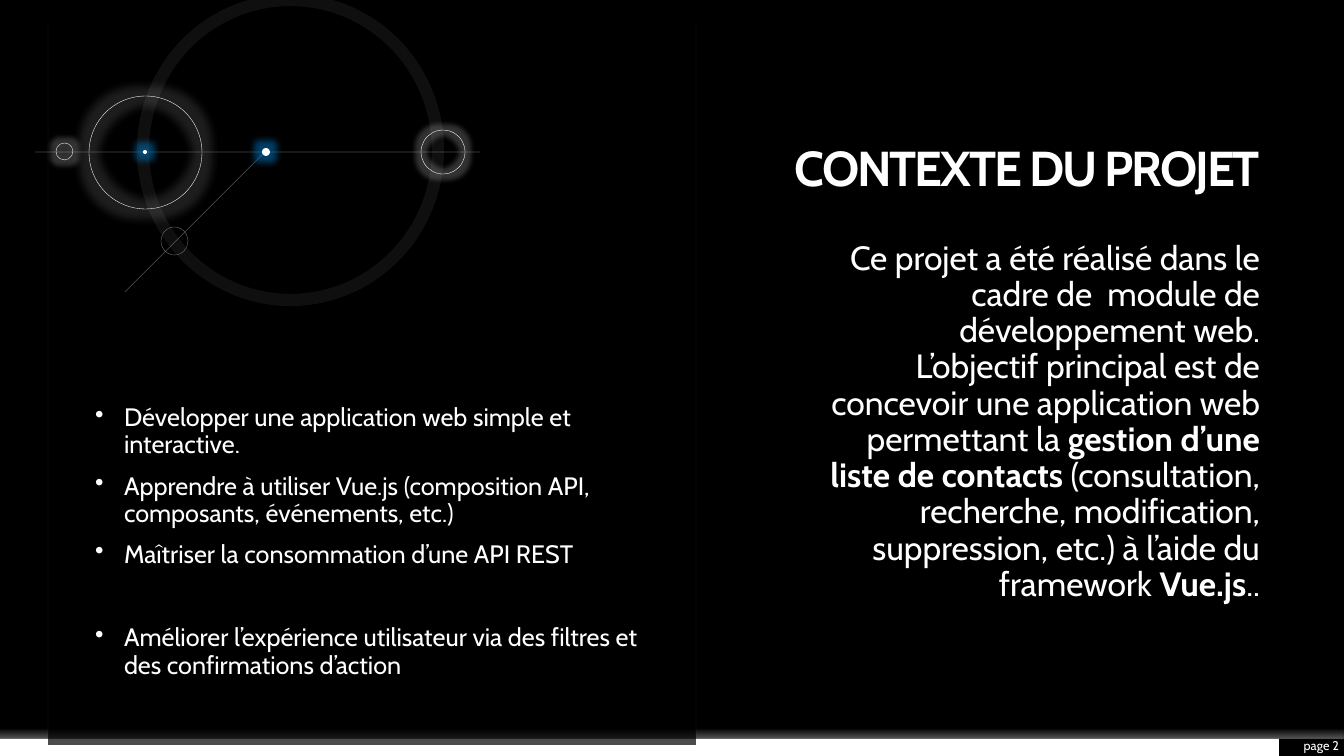
"""Build the project context slide: goals on the left, context on the right."""
from lxml import etree
from pptx import Presentation
from pptx import util as u
from pptx.dml.color import RGBColor
from pptx.enum import dml, shapes, text
from pptx.oxml.ns import qn

PX = 12192000 / 1344
WHITE = "FFFFFF"


def paint(color, value, opacity=100):
    color.rgb = RGBColor.from_string(value)
    if opacity < 100:
        etree.SubElement(color._xFill[0], qn("a:alpha"), val=str(opacity * 1000))


def write(frame, paragraphs, size, align="LEFT", anchor="TOP", before=(0,),
          spacing=1.0, bold=False, tracking=0, bullet=None):
    frame.word_wrap = True
    frame.auto_size = text.MSO_AUTO_SIZE.NONE
    frame.vertical_anchor = text.MSO_ANCHOR[anchor]
    frame.margin_left = frame.margin_right = frame.margin_top = frame.margin_bottom = 0
    for i, parts in enumerate(paragraphs):
        para = frame.add_paragraph() if i else frame.paragraphs[0]
        para.alignment = text.PP_ALIGN[align]
        para.line_spacing = spacing
        para.space_before = u.Pt(before[i % len(before)])
        if bullet:
            props = para._p.get_or_add_pPr()
            props.set("marL", str(int(29 * PX)))
            props.set("indent", str(int(-29 * PX)))
            etree.SubElement(props, qn("a:buChar"), char=bullet)
        for words, strong in parts:
            for n, line in enumerate(words.split("\n")):
                if n:
                    para.add_line_break()
                run = para.add_run()
                run.text = line
                run.font.name = "Cabin"
                run.font.size = u.Pt(size)
                run.font.bold = bold or strong
                paint(run.font.color, WHITE)
                if tracking:
                    run._r.get_or_add_rPr().set("spc", str(tracking))


prs = Presentation()
prs.slide_width, prs.slide_height = int(1344 * PX), int(756 * PX)
slide = prs.slides.add_slide(prs.slide_layouts[5])
slide.background.fill.solid()
paint(slide.background.fill.fore_color, "000000")

panels = []
for box in [(0, 739, 1279, 17), (0, 722, 1344, 17), (48, 429, 648, 316)]:
    panel = slide.shapes.add_shape(shapes.MSO_SHAPE.RECTANGLE, *(int(v * PX) for v in box))
    panel.shadow.inherit = False
    panel.line.fill.background()
    panels.append(panel)
footer_bar, footer_fade, goals_panel = panels
footer_bar.fill.solid()
paint(footer_bar.fill.fore_color, WHITE)
footer_fade.fill.gradient()
footer_fade.fill.gradient_angle = 270
for stop, position, opacity in zip(footer_fade.fill.gradient_stops, (0.4, 1), (0, 35)):
    stop.position = position
    paint(stop.color, WHITE, opacity)
goals_panel.fill.solid()
paint(goals_panel.fill.fore_color, "000000", 70)

title = slide.shapes.title
title.left, title.top, title.width, title.height = (int(v * PX) for v in (700, 117, 560, 80))
write(title.text_frame, [[("CONTEXTE DU PROJET", False)]], 35, align="RIGHT",
      anchor="BOTTOM", spacing=0.9, bold=True, tracking=-150)

goals = [
    "Développer une application web simple et interactive.",
    "Apprendre à utiliser Vue.js (composition API, composants, événements, etc.)",
    "Maîtriser la consommation d’une API REST",
    "Améliorer l’expérience utilisateur via des filtres et des confirmations d’action",
]
context = [
    ("Ce projet a été réalisé dans le cadre de  module de développement web.\n"
     "L’objectif principal est de concevoir une application web permettant la ", False),
    ("gestion d’une liste de contacts", True),
    (" (consultation, recherche, modification, suppression, etc.) à l’aide du framework ", False),
    ("Vue.js", True),
    ("..", False),
]
for box, paragraphs, style in [
    ((1279, 737, 60, 17), [[("page 2", False)]],
     dict(size=9, align="RIGHT", anchor="MIDDLE")),
    ((95, 405, 553, 300), [[(goal, False)] for goal in goals],
     dict(size=18, before=(10, 10, 10, 40), spacing=0.9, bullet="•")),
    ((805, 241, 455, 199), [context],
     dict(size=24, align="RIGHT", before=(10,), spacing=0.9)),
]:
    area = slide.shapes.add_textbox(*(int(v * PX) for v in box))
    write(area.text_frame, paragraphs, **style)

for ends, color, width, opacity in [
    ((696, 23, 696, 739), "F2F2F2", 0.25, 15),
    ((48, 23, 48, 739), "F2F2F2", 0.25, 15),
    ((35, 152, 480, 152), "E7E6E6", 0.5, 30),
    ((125, 292, 265, 152), "E7E6E6", 0.5, 30),
]:
    rule = slide.shapes.add_connector(shapes.MSO_CONNECTOR.STRAIGHT, *(int(v * PX) for v in ends))
    rule.line.width = u.Pt(width)
    rule.line.fill.solid()
    paint(rule.line.color, color, opacity)
    etree.SubElement(rule._element.spPr, qn("a:effectLst"))

rings = [
    ((143, 0, 295, 300), WHITE, 8.75, 6, None),
    ((89, 96, 113, 113), WHITE, 0.25, 100, (18, WHITE, 12)),
    ((421, 130, 44, 44), WHITE, 0.25, 100, (10, WHITE, 20)),
    ((56, 143, 17, 17), WHITE, 0.25, 100, (10, WHITE, 20)),
    ((161, 227, 27, 28), "808080", 0.25, 100, None),
    ((262, 148, 8, 8), WHITE, 0, 100, (14, "0080D0", 50)),
    ((143, 150, 4, 4), WHITE, 0, 100, (14, "0080D0", 50)),
]
for box, color, width, opacity, glow in rings:
    ring = slide.shapes.add_shape(shapes.MSO_SHAPE.OVAL, *(int(v * PX) for v in box))
    ring.shadow.inherit = False
    if width:
        ring.fill.background()
        ring.line.width = u.Pt(width)
        ring.line.fill.solid()
        paint(ring.line.color, color, opacity)
        if color != WHITE:
            ring.line.dash_style = dml.MSO_LINE.SQUARE_DOT
    else:
        ring.fill.solid()
        paint(ring.fill.fore_color, color)
        ring.line.fill.background()
    if glow:
        radius, tint, strength = glow
        effects = ring._element.spPr.find(qn("a:effectLst"))
        halo = etree.SubElement(effects, qn("a:glow"), rad=str(int(radius * PX)))
        shade = etree.SubElement(halo, qn("a:srgbClr"), val=tint)
        etree.SubElement(shade, qn("a:alpha"), val=str(strength * 1000))

prs.save("out.pptx")
